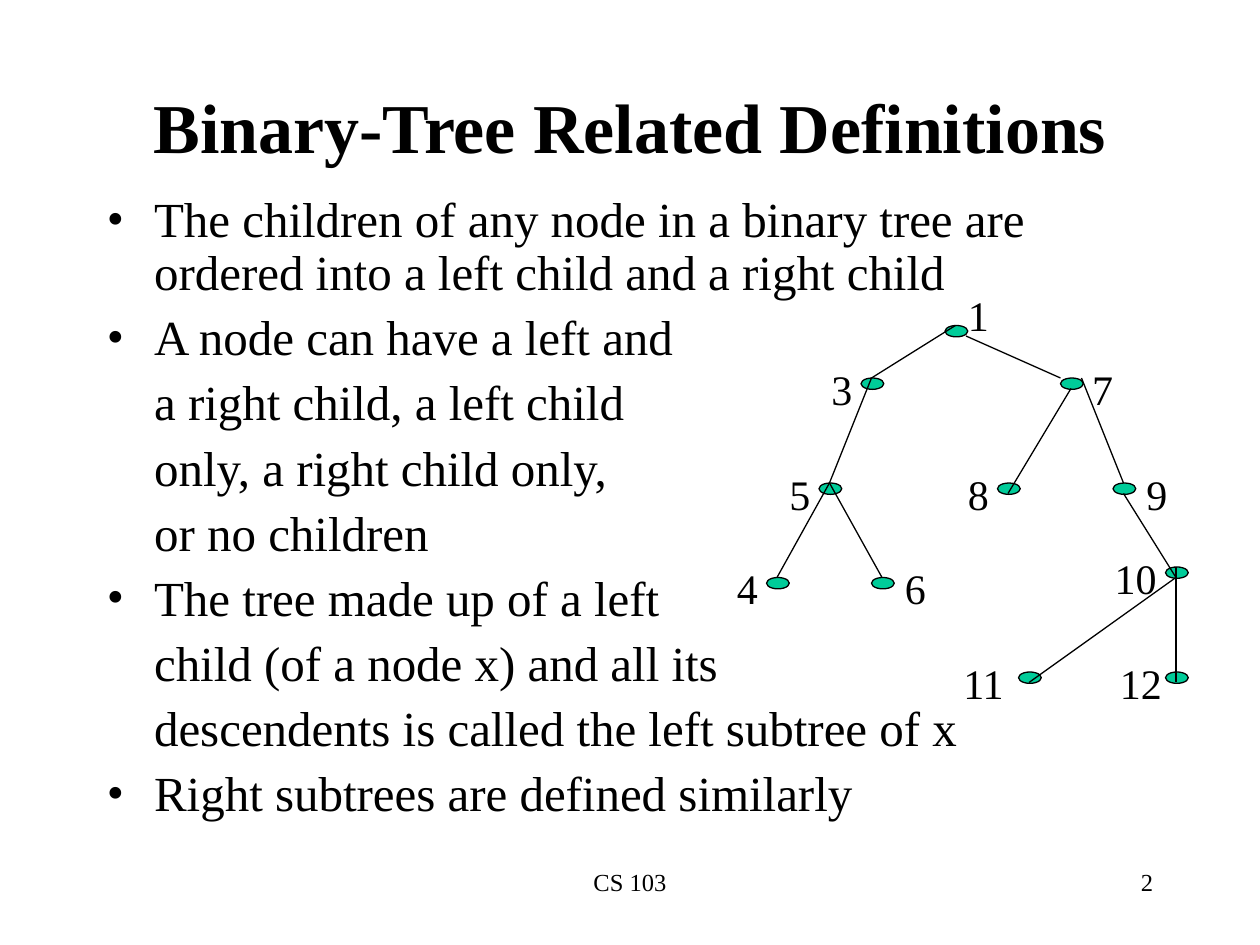
from typing import NamedTuple

import lxml.etree
import pptx
import pptx.dml.color
import pptx.enum.shapes
import pptx.enum.text
import pptx.oxml.ns
import pptx.util

Pt = pptx.util.Pt
qn = pptx.oxml.ns.qn
ALIGN = pptx.enum.text.PP_ALIGN
BLACK = pptx.dml.color.RGBColor(0x00, 0x00, 0x00)
GREEN = pptx.dml.color.RGBColor(0x00, 0xCC, 0x99)
FONT = "Times New Roman"
NODE_WIDTH, NODE_HEIGHT = 13, 6.5
HANGING = 27


class Node(NamedTuple):
    left: float
    top: float
    label_left: float
    label_top: float
    label_width: float = 26


class Anchor(NamedTuple):
    dx: float
    dy: float


class Edge(NamedTuple):
    parent: int
    child: int
    start: Anchor
    end: Anchor


class Line(NamedTuple):
    text: str
    bulleted: bool = False


TOP, BOTTOM = Anchor(6, 0), Anchor(6, 6)
LEFT, RIGHT, LOWER_RIGHT = Anchor(0, 0), Anchor(12, 0), Anchor(12, 6)

TREE = {
    1: Node(540, 186, 546, 162),
    3: Node(492, 216, 468, 204),
    7: Node(606, 216, 617, 204),
    5: Node(468, 276, 444, 264),
    8: Node(570, 276, 546, 264),
    9: Node(636, 276, 648, 264),
    10: Node(666, 324, 627, 312, 44),
    4: Node(438, 330, 414, 318),
    6: Node(498, 330, 510, 318),
    11: Node(582, 384, 540, 372, 44),
    12: Node(666, 384, 630, 372, 44),
}

EDGES = [
    Edge(1, 3, TOP, TOP),
    Edge(1, 7, LOWER_RIGHT, LEFT),
    Edge(3, 5, TOP, TOP),
    Edge(7, 8, BOTTOM, BOTTOM),
    Edge(7, 9, RIGHT, TOP),
    Edge(5, 4, TOP, TOP),
    Edge(5, 6, TOP, TOP),
    Edge(9, 10, BOTTOM, BOTTOM),
    Edge(10, 11, BOTTOM, BOTTOM),
    Edge(10, 12, TOP, BOTTOM),
]

DEFINITIONS = [
    Line("The children of any node in a binary tree are ordered into a left child and a right child", True),
    Line("A node can have a left and", True),
    Line("a right child, a left child"),
    Line("only, a right child only,"),
    Line("or no children"),
    Line("The tree made up of a left", True),
    Line("child (of a node x) and all its"),
    Line("descendents is called the left subtree of x"),
    Line("Right subtrees are defined similarly", True),
]


def add_text(slide, text: str, left: float, top: float, width: float, height: float,
             size: float, align=ALIGN.CENTER, bold: bool = False, wrap: bool = True):
    frame = slide.shapes.add_textbox(Pt(left), Pt(top), Pt(width), Pt(height)).text_frame
    frame.word_wrap = wrap
    frame.text = text
    for paragraph in frame.paragraphs:
        paragraph.alignment = align
        for run in paragraph.runs:
            run.font.name = FONT
            run.font.size = Pt(size)
            run.font.bold = bold
            run.font.color.rgb = BLACK
    return frame


def add_definitions(slide, lines: list[Line]) -> None:
    text = "\n".join(line.text for line in lines)
    frame = add_text(slide, text, 54, 108, 612, 372, 28, ALIGN.LEFT)
    for index, (paragraph, line) in enumerate(zip(frame.paragraphs, lines)):
        paragraph.line_spacing = 0.9
        paragraph.space_before = Pt(7 if index else 0)
        properties = paragraph._p.get_or_add_pPr()
        properties.set("marL", str(Pt(HANGING)))
        properties.set("indent", str(Pt(-HANGING if line.bulleted else 0)))
        if line.bulleted:
            lxml.etree.SubElement(properties, qn("a:buFont"), typeface=FONT)
            lxml.etree.SubElement(properties, qn("a:buChar"), char="•")
        else:
            lxml.etree.SubElement(properties, qn("a:buNone"))


def add_node(slide, node: Node) -> None:
    oval = slide.shapes.add_shape(pptx.enum.shapes.MSO_SHAPE.OVAL, Pt(node.left), Pt(node.top),
                                  Pt(NODE_WIDTH), Pt(NODE_HEIGHT))
    oval.shadow.inherit = False
    oval.fill.solid()
    oval.fill.fore_color.rgb = GREEN
    oval.line.color.rgb = BLACK
    oval.line.width = Pt(0.75)


def add_label(slide, number: int, node: Node) -> None:
    label = add_text(slide, str(number), node.label_left, node.label_top, node.label_width, 36, 24, wrap=False)
    label.auto_size = pptx.enum.text.MSO_AUTO_SIZE.SHAPE_TO_FIT_TEXT


def add_edge(slide, edge: Edge) -> None:
    parent, child = TREE[edge.parent], TREE[edge.child]
    branch = slide.shapes.add_connector(
        pptx.enum.shapes.MSO_CONNECTOR.STRAIGHT,
        Pt(parent.left + edge.start.dx), Pt(parent.top + edge.start.dy),
        Pt(child.left + edge.end.dx), Pt(child.top + edge.end.dy))
    branch.line.color.rgb = BLACK
    branch.line.width = Pt(0.75)
    lxml.etree.SubElement(branch._element.spPr, qn("a:effectLst"))


def main() -> None:
    deck = pptx.Presentation()
    deck.slide_width, deck.slide_height = Pt(720), Pt(540)
    slide = deck.slides.add_slide(deck.slide_layouts[6])

    add_text(slide, "CS 103", 246, 492, 228, 36, 14)
    add_text(slide, "2", 516, 492, 150, 36, 14, ALIGN.RIGHT)
    heading = add_text(slide, "Binary-Tree Related Definitions", 54, 48, 612, 48, 40, bold=True)
    heading.vertical_anchor = pptx.enum.text.MSO_ANCHOR.MIDDLE
    add_definitions(slide, DEFINITIONS)

    for node in TREE.values():
        add_node(slide, node)
    for number, node in TREE.items():
        add_label(slide, number, node)
    for edge in EDGES:
        add_edge(slide, edge)

    deck.save("out.pptx")


if __name__ == "__main__":
    main()
